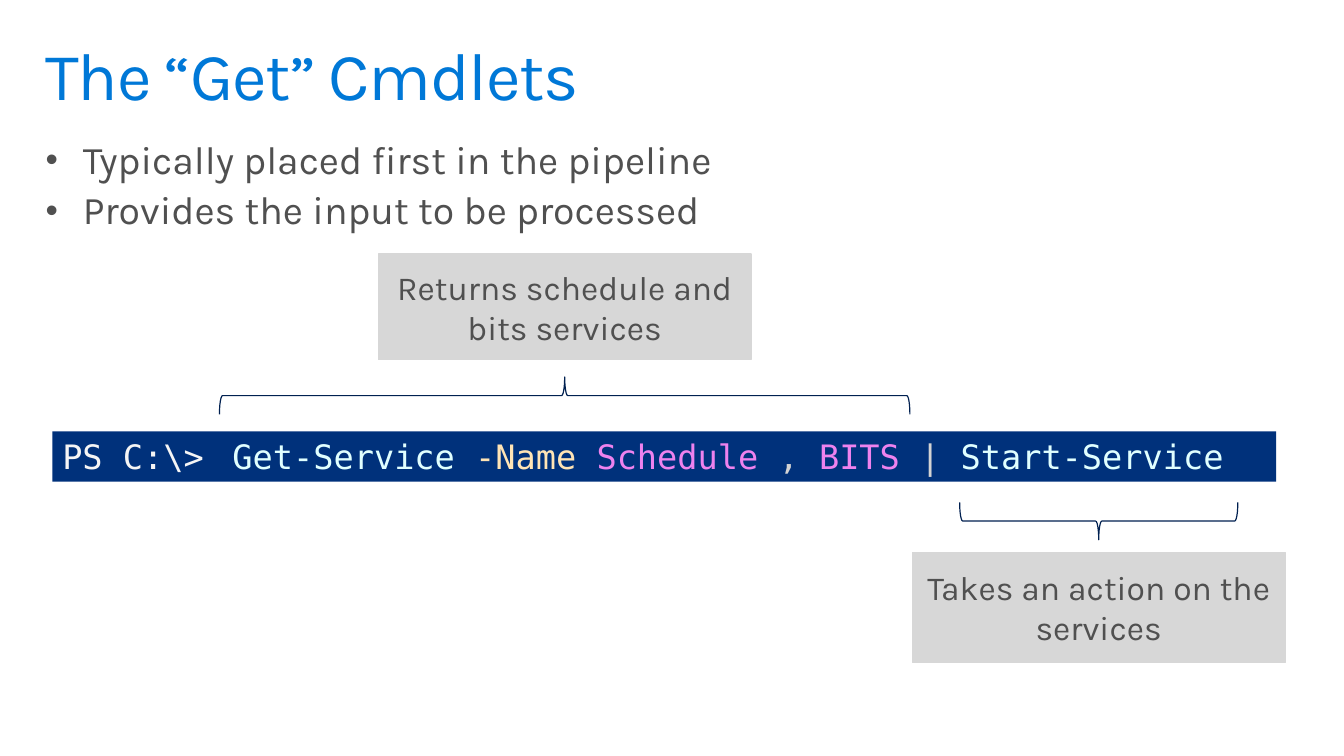
"""Build the slide on Get cmdlets with its annotated command line."""
from dataclasses import dataclass

from lxml.etree import SubElement
from pptx import Presentation
from pptx.dml.color import RGBColor
from pptx.enum.shapes import MSO_SHAPE
from pptx.enum.text import MSO_ANCHOR, PP_ALIGN
from pptx.oxml.ns import qn
from pptx.util import Cm, Pt


@dataclass(frozen=True)
class Theme:
    title: str = "0078D7"
    text: str = "505050"
    callout: str = "D7D7D7"
    brace: str = "002050"
    console: str = "00317B"
    prompt: str = "F5F5F5"
    command: str = "E0FFFF"
    parameter: str = "FFE4B5"
    argument: str = "EE82EE"
    operator: str = "D3D3D3"
    sans: str = "Karla"
    mono: str = "DejaVu Sans Mono"
    title_size: int = 48
    bullet_size: int = 28
    label_size: int = 24
    line_width: float = 0.85


theme = Theme()


def set_font(font, name, size, color):
    font.name = name
    font.size = Pt(size)
    font.color.rgb = RGBColor.from_string(color)


def add_text_frame(left, top, width, height):
    text_frame = slide.shapes.add_textbox(Cm(left), Cm(top), Cm(width), Cm(height)).text_frame
    text_frame.word_wrap = True
    text_frame.margin_left = text_frame.margin_right = Cm(0.41)
    text_frame.margin_top = text_frame.margin_bottom = Cm(0.25)
    return text_frame


presentation = Presentation()
presentation.slide_width = Cm(33.87)
presentation.slide_height = Cm(19.05)
slide = presentation.slides.add_slide(presentation.slide_layouts[6])

paragraph = add_text_frame(0.74, 0.81, 32.39, 2.49).paragraphs[0]
paragraph.line_spacing = 0.9
set_font(paragraph.font, theme.sans, theme.title_size, theme.title)
run = paragraph.add_run()
run.text = "The “Get” Cmdlets"
run.font._element.set("spc", "-100")

bullets = ["Typically placed first in the pipeline", "Provides the input to be processed"]
text_frame = add_text_frame(0.74, 3.3, 32.36, 5.28)
text_frame.text = "\n".join(bullets)
for paragraph in text_frame.paragraphs:
    paragraph.line_spacing = 0.9
    paragraph.space_before = Pt(theme.bullet_size * 0.2)
    set_font(paragraph.font, theme.sans, theme.bullet_size, theme.text)
    properties = paragraph._p.get_or_add_pPr()
    properties.set("marL", str(Cm(0.94)))
    properties.set("indent", str(Cm(-0.94)))
    bullet_size = SubElement(properties, qn("a:buSzPct"), val="90000")
    bullet_font = SubElement(properties, qn("a:buFont"), typeface="Arial")
    bullet_mark = SubElement(properties, qn("a:buChar"), char="•")
    for bullet_part in (bullet_size, bullet_font, bullet_mark):
        properties.find(qn("a:defRPr")).addprevious(bullet_part)

console = slide.shapes.add_shape(MSO_SHAPE.RECTANGLE, Cm(1.32), Cm(10.87), Cm(30.84), Cm(1.27))
console.shadow.inherit = False
console.fill.solid()
console.fill.fore_color.rgb = RGBColor.from_string(theme.console)
console.line.fill.background()
console.text_frame.word_wrap = True
console.text_frame.vertical_anchor = MSO_ANCHOR.TOP
paragraph = console.text_frame.paragraphs[0]
paragraph.alignment = PP_ALIGN.LEFT
command_line = [
    ("PS C:\\>", theme.prompt, 0),
    (" ", theme.prompt, 600),
    ("Get-Service ", theme.command, 0),
    ("-Name ", theme.parameter, 0),
    ("Schedule ", theme.argument, 0),
    (", ", theme.operator, 0),
    ("BITS ", theme.argument, 0),
    ("| ", theme.operator, 0),
    ("Start-Service", theme.command, 0),
]
for text, color, spacing in command_line:
    run = paragraph.add_run()
    run.text = text
    set_font(run.font, theme.mono, theme.label_size, color)
    run.font._element.set("spc", str(spacing))

callout_width, brace_depth = 9.4, 0.94
callouts = [
    ("Returns schedule and bits services", 14.23, 6.4, 2.67, 9.97, 17.4, 90),
    ("Takes an action on the services", 27.69, 13.92, 2.77, 13.13, 7.01, 270),
]
for text, center, top, height, brace_center, span, rotation in callouts:
    brace = slide.shapes.add_shape(
        MSO_SHAPE.LEFT_BRACE,
        Cm(center - brace_depth / 2), Cm(brace_center - span / 2), Cm(brace_depth), Cm(span),
    )
    brace.rotation = rotation
    brace.fill.background()
    callout = slide.shapes.add_shape(
        MSO_SHAPE.RECTANGLE, Cm(center - callout_width / 2), Cm(top), Cm(callout_width), Cm(height)
    )
    callout.fill.solid()
    callout.fill.fore_color.rgb = RGBColor.from_string(theme.callout)
    for shape, line_color in ((brace, theme.brace), (callout, theme.callout)):
        shape.shadow.inherit = False
        shape.line.color.rgb = RGBColor.from_string(line_color)
        shape.line.width = Pt(theme.line_width)
    callout.text_frame.word_wrap = True
    callout.text_frame.vertical_anchor = MSO_ANCHOR.MIDDLE
    paragraph = callout.text_frame.paragraphs[0]
    paragraph.text = text
    paragraph.alignment = PP_ALIGN.CENTER
    set_font(paragraph.font, theme.sans, theme.label_size, theme.text)

presentation.save("out.pptx")
